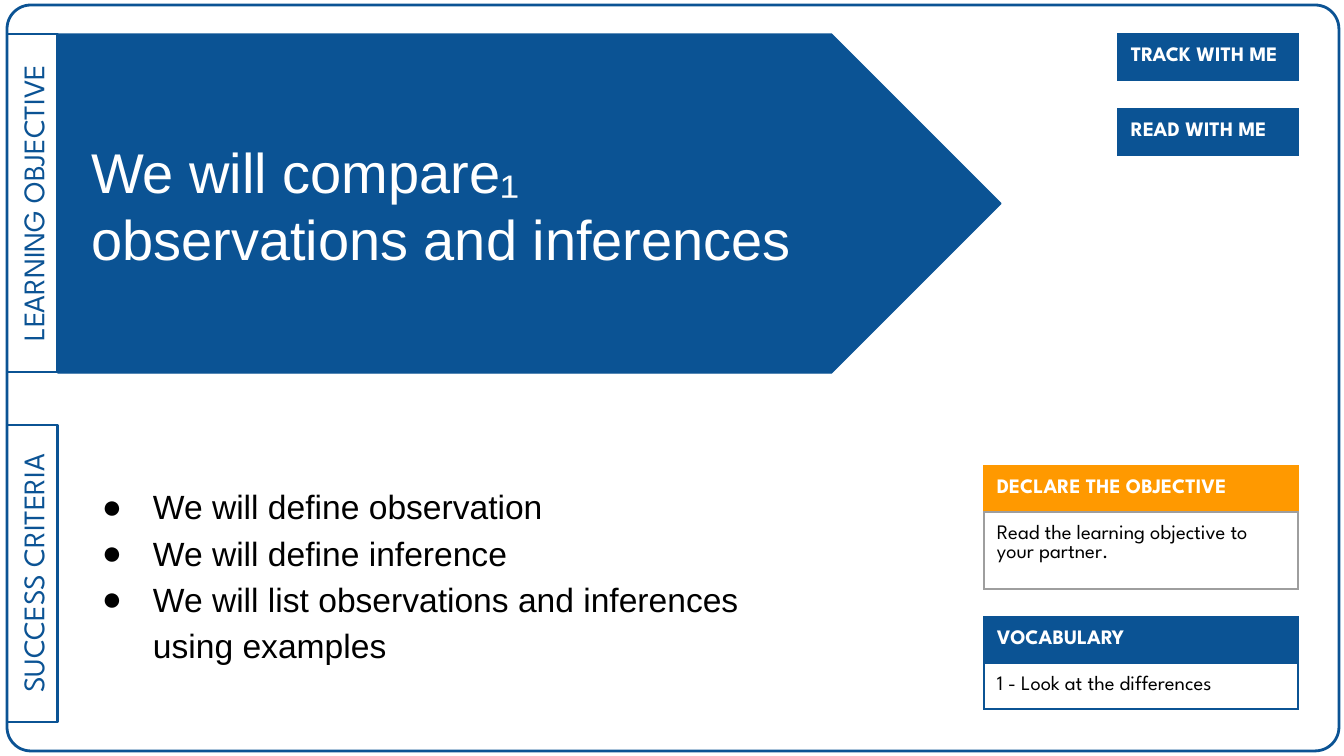
from dataclasses import dataclass

from pptx import Presentation
from pptx.dml.color import RGBColor
from pptx.enum.shapes import MSO_SHAPE as SHAPE
from pptx.enum.text import MSO_ANCHOR as ANCHOR, MSO_AUTO_SIZE as AUTO_SIZE, PP_ALIGN as ALIGN
from pptx.oxml import parse_xml
from pptx.oxml.ns import nsdecls
from pptx.util import Emu, Pt

SLIDE_W, SLIDE_H = 1344, 756
EMU_PER_PX = 914400 * 10 / SLIDE_W


@dataclass(frozen=True)
class Theme:
    blue: str = "0B5394"
    orange: str = "FF9900"
    grey: str = "9E9E9E"
    white: str = "FFFFFF"
    black: str = "000000"
    main_font: str = "Arial"
    label_font: str = "League Spartan"
    title_size: int = 30
    criteria_size: int = 18
    tab_size: int = 16
    card_size: int = 11
    inset: int = 13
    header_height: int = 46


THEME = Theme()


def px(length):
    return Emu(round(length * EMU_PER_PX))


def rgb(colour):
    return RGBColor.from_string(colour)


def write(paragraph, text, *, size, colour, font=THEME.main_font, bold=False,
          align=ALIGN.LEFT, spacing=None):
    """Put one formatted run into a paragraph."""
    paragraph.alignment = align
    if spacing:
        paragraph.line_spacing = spacing
    run = paragraph.add_run()
    run.text = text
    run.font.name = font
    run.font.size = Pt(size)
    run.font.bold = bold
    run.font.color.rgb = rgb(colour)


def set_margins(box):
    box.margin_left = box.margin_right = px(THEME.inset)
    box.margin_top = box.margin_bottom = px(THEME.inset)


def set_frame(frame):
    frame.word_wrap = True
    frame.auto_size = AUTO_SIZE.NONE
    frame.vertical_anchor = ANCHOR.MIDDLE
    set_margins(frame)


def add_panel(slide, kind, left, top, width, height, *, fill=None, line_width=1.5, corner=None):
    panel = slide.shapes.add_shape(kind, px(left), px(top), px(width), px(height))
    panel.shadow.inherit = False
    if fill:
        panel.fill.solid()
        panel.fill.fore_color.rgb = rgb(fill)
    else:
        panel.fill.background()
    panel.line.color.rgb = rgb(THEME.blue)
    panel.line.width = Pt(line_width)
    if corner is not None:
        panel.adjustments[0] = corner
    return panel


def add_side_tab(slide, text, left, top, width, height):
    """Add a label that reads upwards and fills the given upright area."""
    shift = (height - width) / 2
    tab = add_panel(slide, SHAPE.RECTANGLE, left - shift, top + shift, height, width)
    tab.rotation = 270
    set_frame(tab.text_frame)
    write(tab.text_frame.paragraphs[0], text, size=THEME.tab_size, colour=THEME.blue,
          font=THEME.label_font, align=ALIGN.CENTER)


def place_title(slide, text, left, top, width, height):
    title = slide.shapes.title
    title.left, title.top, title.width, title.height = map(px, (left, top, width, height))
    set_frame(title.text_frame)
    write(title.text_frame.paragraphs[0], text, size=THEME.title_size, colour=THEME.white)
    # Bring the title in front of the arrow
    title.element.getparent().append(title.element)


def add_bullet(paragraph):
    properties = paragraph._p.get_or_add_pPr()
    properties.set("marL", str(px(67)))
    properties.set("indent", str(-px(51)))
    for tag in (f'<a:buClr {nsdecls("a")}><a:srgbClr val="{THEME.black}"/></a:buClr>',
                f'<a:buFont {nsdecls("a")} typeface="{THEME.main_font}"/>',
                f'<a:buChar {nsdecls("a")} char="●"/>'):
        properties.append(parse_xml(tag))


def add_criteria(slide, criteria, left, top, width, height):
    frame = slide.shapes.add_textbox(px(left), px(top), px(width), px(height)).text_frame
    set_frame(frame)
    for index, criterion in enumerate(criteria):
        paragraph = frame.add_paragraph() if index else frame.paragraphs[0]
        add_bullet(paragraph)
        write(paragraph, criterion, size=THEME.criteria_size, colour=THEME.black, spacing=1.15)


def set_borders(cell, colour):
    properties = cell._tc.get_or_add_tcPr()
    for index, side in enumerate(("lnL", "lnR", "lnT", "lnB")):
        properties.insert(index, parse_xml(
            f'<a:{side} {nsdecls("a")} w="{Pt(0.75)}"><a:solidFill>'
            f'<a:srgbClr val="{colour}"/></a:solidFill></a:{side}>'))


def add_card(slide, heading, left, top, width, *, accent=THEME.blue, body=None,
             body_height=THEME.header_height, body_border=THEME.blue):
    """Add a coloured heading with an optional text row below it."""
    heights = [THEME.header_height] + ([body_height] if body else [])
    card = slide.shapes.add_table(len(heights), 1, px(left), px(top), px(width),
                                  px(sum(heights))).table
    card.first_row = card.horz_banding = False
    for row, height in zip(card.rows, heights):
        row.height = px(height)

    header = card.cell(0, 0)
    if body:
        detail = card.cell(1, 0)
        set_margins(detail)
        detail.fill.background()
        set_borders(detail, body_border)
        write(detail.text_frame.paragraphs[0], body, size=THEME.card_size,
              colour=THEME.black, font=THEME.label_font)
    set_margins(header)
    header.fill.solid()
    header.fill.fore_color.rgb = rgb(accent)
    set_borders(header, accent)
    write(header.text_frame.paragraphs[0], heading, size=THEME.card_size,
          colour=THEME.white, font=THEME.label_font, bold=True)


def main():
    deck = Presentation()
    deck.slide_width, deck.slide_height = px(SLIDE_W), px(SLIDE_H)
    slide = deck.slides.add_slide(deck.slide_layouts[5])

    # Page frame
    add_panel(slide, SHAPE.ROUNDED_RECTANGLE, 7, 5, 1332, 746, corner=0.032)

    # Learning objective
    add_side_tab(slide, "LEARNING OBJECTIVE", 7, 34, 51, 338)
    add_panel(slide, SHAPE.PENTAGON, 58, 34, 943, 339, fill=THEME.blue,
              line_width=0.75, corner=0.5)
    place_title(slide, "We will compare₁ observations and inferences", 78, 70, 745, 270)

    # Success criteria
    add_side_tab(slide, "SUCCESS CRITERIA", 7, 425, 51, 297)
    add_criteria(slide, ("We will define observation",
                         "We will define inference",
                         "We will list observations and inferences using examples"),
                 73, 425, 763, 296)

    # Class routines
    for index, routine in enumerate(("TRACK WITH ME", "READ WITH ME")):
        add_card(slide, routine, 1118, 34 + 75 * index, 180)

    # Partner task and vocabulary
    add_card(slide, "DECLARE THE OBJECTIVE", 984, 466, 314, accent=THEME.orange,
             body="Read the learning objective to your partner.",
             body_height=77, body_border=THEME.grey)
    add_card(slide, "VOCABULARY", 984, 617, 314, body="1 - Look at the differences")

    deck.save("out.pptx")


if __name__ == "__main__":
    main()
